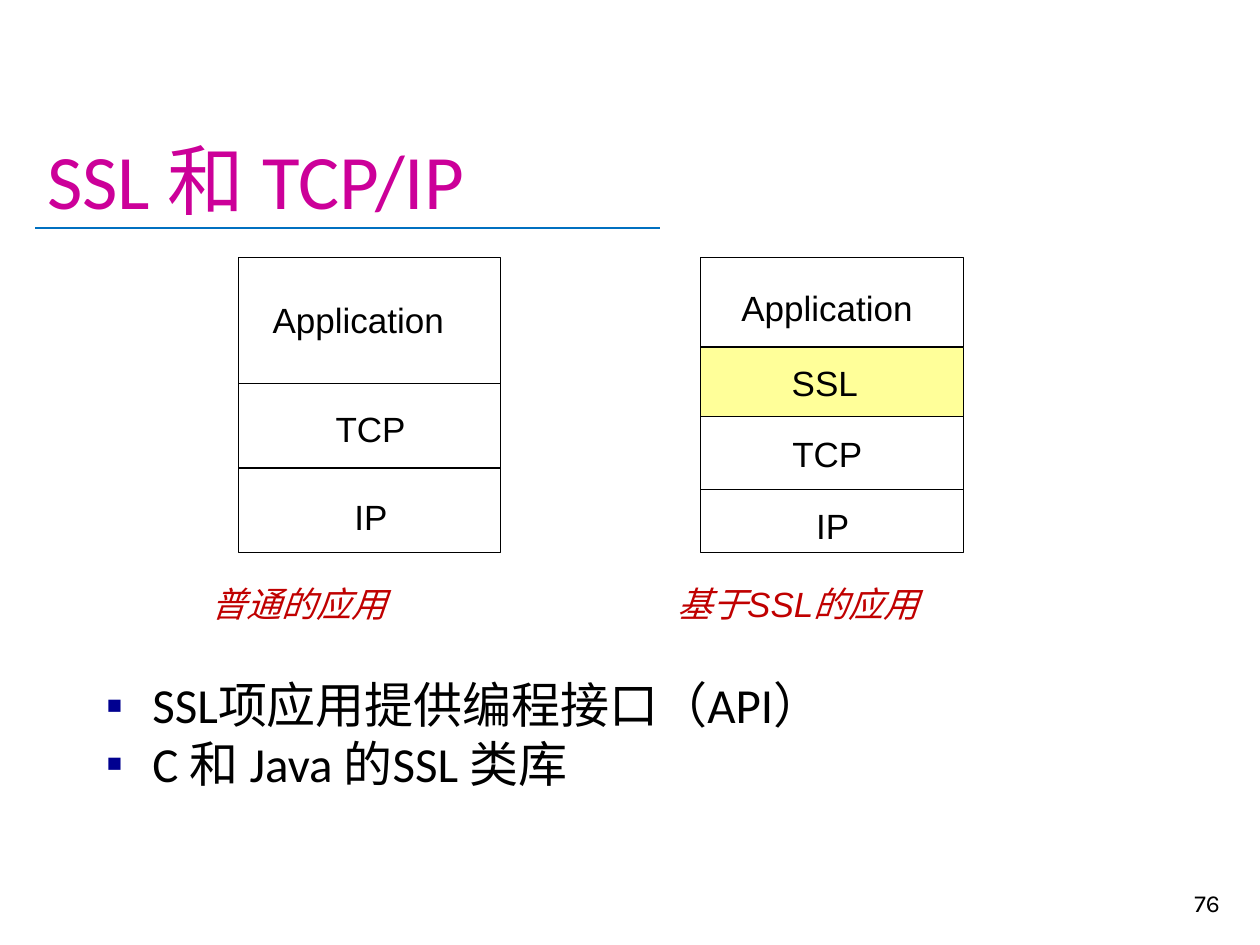
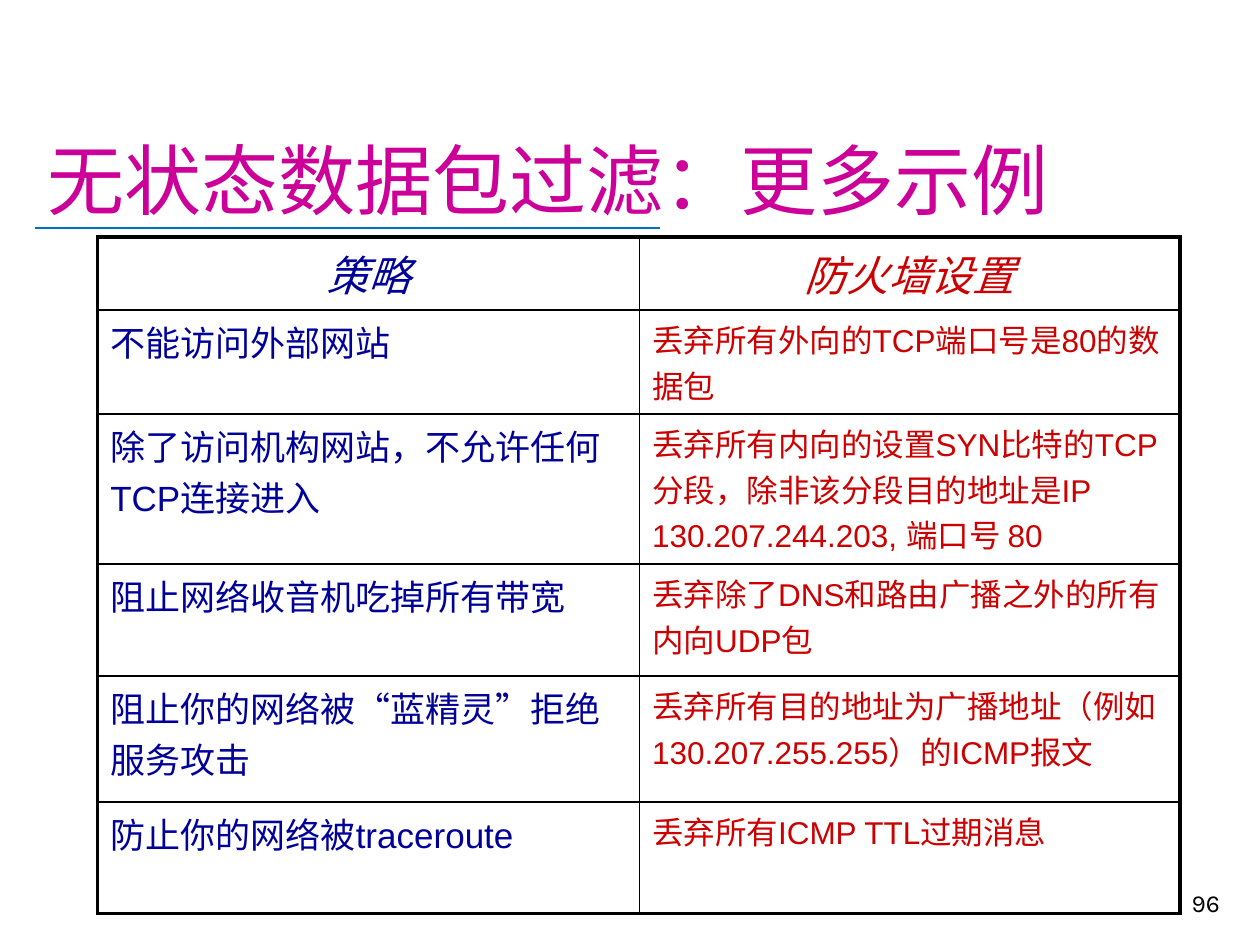
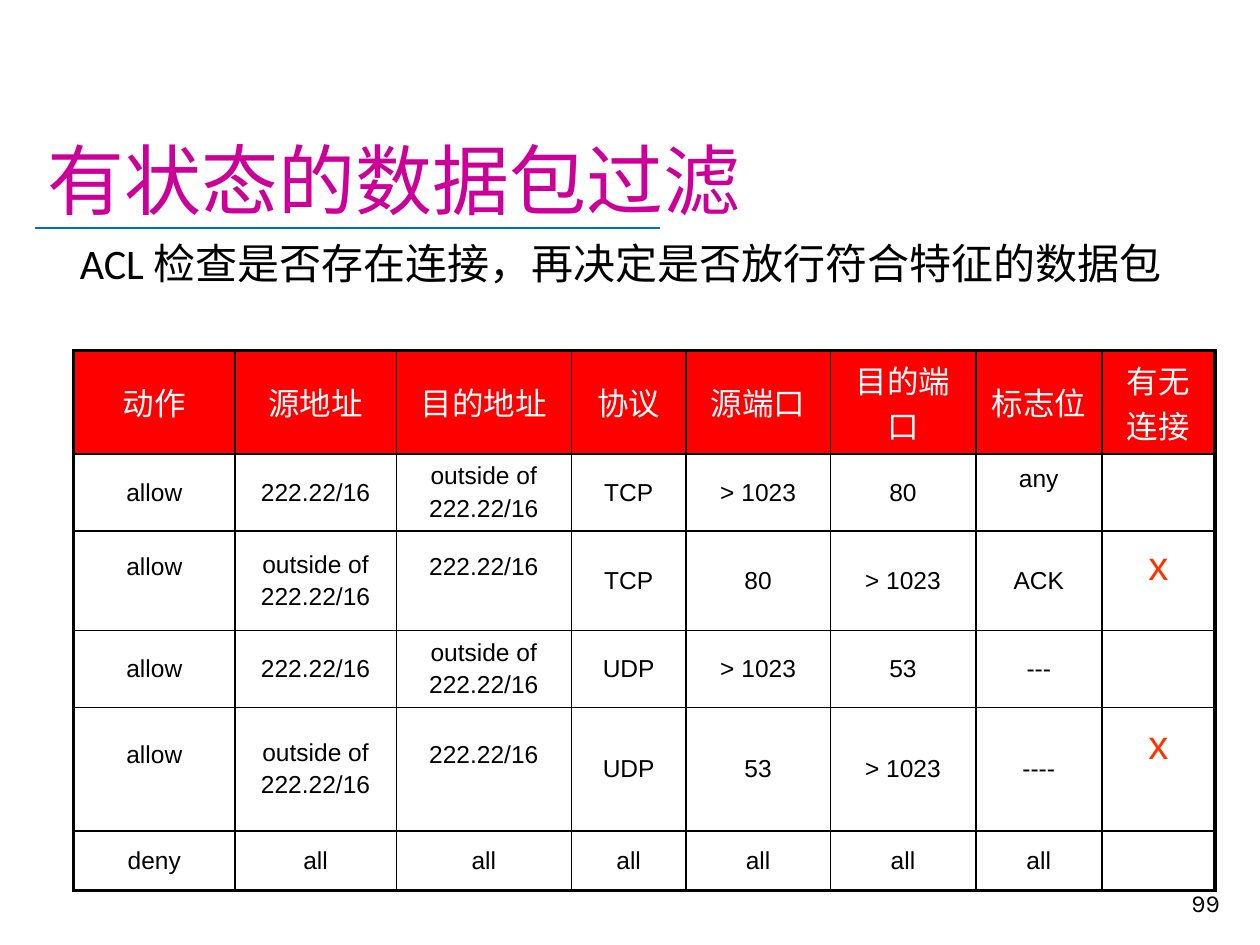
"""Build three network security slides: SSL layers and two packet filtering tables."""
import lxml.etree
import pptx
import pptx.dml.color
import pptx.enum.shapes
import pptx.enum.text
import pptx.oxml.ns
import pptx.util

COLORS = {
    "title": "CC0099", "rule": "0070C0", "ink": "000000", "caption": "C00000",
    "ssl": "FFFF99", "bullet": "000090", "policy": "000099", "setting": "CC0000",
    "header": "FF0000", "white": "FFFFFF", "mark": "FF3300",
}
PALETTE = {name: pptx.dml.color.RGBColor.from_string(code) for name, code in COLORS.items()}
ALIGN = pptx.enum.text.PP_ALIGN
ANCHOR = pptx.enum.text.MSO_ANCHOR
qn = pptx.oxml.ns.qn

deck = pptx.Presentation()
deck.slide_width = pptx.util.Inches(10)
deck.slide_height = pptx.util.Inches(7.5)
COLUMN = deck.slide_width / 100
ROW = deck.slide_height / 75


def area(left, top, width, height):
    """Turn grid columns and rows into slide lengths."""
    return [round(left * COLUMN), round(top * ROW), round(width * COLUMN), round(height * ROW)]


def style(frame, size, color, font, italic=False, east=None):
    """Format every run of a text frame."""
    for para in frame.paragraphs:
        for span in para.runs:
            span.font.size = pptx.util.Pt(size)
            span.font.italic = italic
            span.font.color.rgb = PALETTE[color]
            span.font.name = font
            if east:
                lxml.etree.SubElement(span._r.get_or_add_rPr(), qn("a:ea"), typeface=east)


titles = [
    ("SSL 和 TCP/IP", "Calibri", "76", 1),
    ("无状态数据包过滤：更多示例", "Calibri", "96", 5),
    ("有状态的数据包过滤", "Karla", "99", 5),
]
pages = []
texts = []
for title, font, number, layout in titles:
    page = deck.slides.add_slide(deck.slide_layouts[layout])
    pages.append(page)
    rule = page.shapes.add_connector(
        pptx.enum.shapes.MSO_CONNECTOR.STRAIGHT, *area(2.8, 18.1, 0, 0)[:2], *area(52.4, 18.1, 0, 0)[:2])
    rule.line.color.rgb = PALETTE["rule"]
    rule.line.width = pptx.util.Pt(1.25)
    lxml.etree.SubElement(rule._element.spPr, qn("a:effectLst"))
    heading = page.shapes.title
    heading.left, heading.top, heading.width, heading.height = area(2.75, 2.35, 95.1, 16)
    frame = heading.text_frame
    frame.text = title
    frame.auto_size = pptx.enum.text.MSO_AUTO_SIZE.NONE
    frame.vertical_anchor = ANCHOR.BOTTOM
    frame.paragraphs[0].alignment = ALIGN.LEFT
    style(frame, 44, "title", font, east="Calibri")
    texts.append((page, (77, 68.3, 20.8, 5), number, 14, "ink", "Karla"))

layers_page, policy_page, state_page = pages

stacks = [
    (18.9, 20.8, [
        ("Application", 10, (20.65, 23.2, 15.8)),
        ("TCP", 6.7, (25.65, 31.85, 7.6)),
        ("IP", 6.7, (27.15, 38.8, 4.7))]),
    (55.6, 20.9, [
        ("Application", 7.1, (57.85, 22.25, 15.8)),
        ("SSL", 5.5, (61.85, 28.2, 7.4)),
        ("TCP", 5.8, (61.9, 33.85, 7.7)),
        ("IP", 5, (63.8, 39.55, 4.7))]),
]
for left, width, layers in stacks:
    top = 20.45
    for label, height, spot in layers:
        box = layers_page.shapes.add_shape(
            pptx.enum.shapes.MSO_SHAPE.RECTANGLE, *area(left, top, width, height))
        box.shadow.inherit = False
        box.line.color.rgb = PALETTE["ink"]
        box.line.width = pptx.util.Pt(0.75)
        if label == "SSL":
            box.fill.solid()
            box.fill.fore_color.rgb = PALETTE["ssl"]
        else:
            box.fill.background()
        texts.append((layers_page, (*spot, 4.4), label, 20, "ink", "Arial"))
        top += height

texts += [
    (layers_page, (15.8, 45.7, 16, 4.4), "普通的应用", 20, "caption", "Arial"),
    (layers_page, (52.75, 45.7, 28.8, 4.4), "基于SSL的应用", 20, "caption", "Arial"),
    (state_page, (5.35, 18.35, 91.2, 12.1),
     "ACL 检查是否存在连接，再决定是否放行符合特征的数据包", 24, "ink", "Calibri"),
]
for page, spot, words, size, color, font in texts:
    box = page.shapes.add_textbox(*area(*spot))
    frame = box.text_frame
    frame.text = words
    frame.word_wrap = spot[2] > 20
    if font == "Karla":
        frame.vertical_anchor = ANCHOR.BOTTOM
        frame.paragraphs[0].alignment = ALIGN.RIGHT
    style(frame, size, color, font, italic=color == "caption", east=font)

points = layers_page.placeholders[1]
points.left, points.top, points.width, points.height = area(7.4, 53.05, 84.2, 10.4)
frame = points.text_frame
frame.text = "SSL项应用提供编程接口（API）\nC 和 Java 的SSL 类库"
frame.auto_size = pptx.enum.text.MSO_AUTO_SIZE.NONE
style(frame, 28, "ink", "Calibri", east="Calibri")
for para in frame.paragraphs:
    para.space_before = pptx.util.Pt(0)
    properties = para._p.get_or_add_pPr()
    indent = round(3.7 * COLUMN)
    properties.set("marL", str(indent))
    properties.set("indent", str(-indent))
    tint = lxml.etree.SubElement(properties, qn("a:buClr"))
    lxml.etree.SubElement(tint, qn("a:srgbClr"), val=COLORS["bullet"])
    lxml.etree.SubElement(properties, qn("a:buFont"), typeface="Arial")
    lxml.etree.SubElement(properties, qn("a:buChar"), char="▪")

policies = [
    ("策略", "防火墙设置"),
    ("不能访问外部网站", "丢弃所有外向的TCP端口号是80的数据包"),
    ("除了访问机构网站，不允许任何TCP连接进入",
     "丢弃所有内向的设置SYN比特的TCP分段，除非该分段目的地址是IP 130.207.244.203, 端口号 80"),
    ("阻止网络收音机吃掉所有带宽", "丢弃除了DNS和路由广播之外的所有内向UDP包"),
    ("阻止你的网络被“蓝精灵”拒绝服务攻击",
     "丢弃所有目的地址为广播地址（例如130.207.255.255）的ICMP报文"),
    ("防止你的网络被traceroute", "丢弃所有ICMP TTL过期消息"),
]
inside = "222.22/16"
outside = "outside of\n222.22/16"
rules = [
    ("动作", "源地址", "目的地址", "协议", "源端口", "目的端口", "标志位", "有无连接"),
    ("allow", inside, outside, "TCP", "> 1023", "80", "any", ""),
    ("allow", outside, inside, "TCP", "80", "> 1023", "ACK", "x"),
    ("allow", inside, outside, "UDP", "> 1023", "53", "---", ""),
    ("allow", outside, inside, "UDP", "53", "> 1023", "----", "x"),
    ("deny",) + ("all",) * 6 + ("",),
]
lifts = {(1, 6): 2.2, (2, 0): 2.2, (2, 2): 2.2, (2, 7): 2.2, (4, 0): 2.2, (4, 2): 2.2, (4, 7): 3.7}
tables = [
    (policy_page, policies, (7.75, 18.8), [43, 42.9], [5.8, 8.25, 11.9, 8.9, 10, 8.85]),
    (state_page, rules, (5.85, 27.8), [12.8, 12.8, 13.9, 9.1, 11.45, 11.55, 10, 9],
     [8.25, 6.1, 7.9, 6.1, 9.8, 4.75]),
]
for page, entries, corner, widths, heights in tables:
    table = page.shapes.add_table(
        len(heights), len(widths), *area(*corner, sum(widths), sum(heights))).table
    table.first_row = False
    table.horz_banding = False
    for column, width in zip(table.columns, widths):
        column.width = round(width * COLUMN)
    for line, height in zip(table.rows, heights):
        line.height = round(height * ROW)
    for row, entry in enumerate(entries):
        for col, words in enumerate(entry):
            cell = table.cell(row, col)
            frame = cell.text_frame
            frame.text = words
            cell.fill.background()
            if page is policy_page:
                size = 24 if row == 0 else (20, 18)[col]
                style(frame, size, ("policy", "setting")[col], "Arial", italic=row == 0)
            else:
                cell.vertical_anchor = ANCHOR.MIDDLE
                cell.margin_bottom = round((0.5 + lifts.get((row, col), 0)) * ROW)
                if row == 0:
                    cell.fill.solid()
                    cell.fill.fore_color.rgb = PALETTE["header"]
                    style(frame, 18, "white", "Arial")
                elif words == "x":
                    style(frame, 23, "mark", "Arial")
                else:
                    style(frame, 14, "ink", "Arial")
            for order, para in enumerate(frame.paragraphs):
                if page is state_page or row == 0:
                    para.alignment = ALIGN.CENTER
                if order:
                    para.space_before = pptx.util.Pt(2.8)
            edges = {"L": col == 0, "R": col == len(widths) - 1,
                     "T": row == 0, "B": row == len(heights) - 1}
            properties = cell._tc.get_or_add_tcPr()
            for order, (side, outer) in enumerate(edges.items()):
                border = lxml.etree.Element(
                    qn("a:ln" + side), w=str(pptx.util.Pt(2.25 if outer else 1)))
                paint = lxml.etree.SubElement(border, qn("a:solidFill"))
                lxml.etree.SubElement(paint, qn("a:srgbClr"), val=COLORS["ink"])
                properties.insert(order, border)

deck.save("out.pptx")
